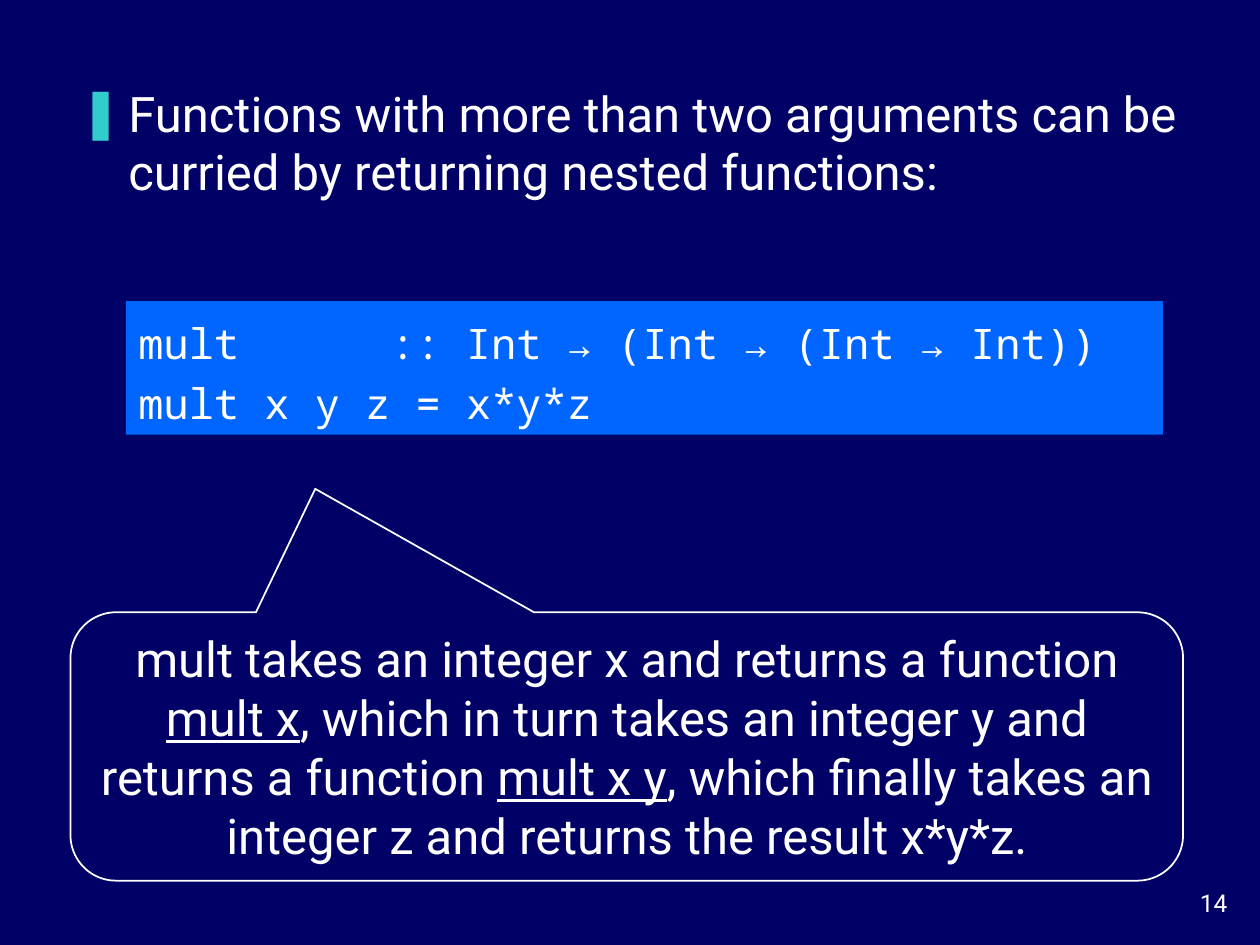
from lxml.etree import SubElement
from pptx import Presentation
from pptx.dml.color import RGBColor
from pptx.enum.shapes import MSO_SHAPE as Shape
from pptx.enum.text import MSO_ANCHOR as Anchor, MSO_AUTO_SIZE as AutoSize, PP_ALIGN as Align
from pptx.oxml.ns import qn
from pptx.util import Inches, Pt

# Content: each paragraph is a list of (text, underlined) runs
HEADING = [("Functions with more than two arguments can be curried by returning nested functions:", False)]
CODE = [
    [("mult\t:: Int → (Int → (Int → Int))", False)],
    [("mult x y z = x*y*z", False)],
]
EXPLANATION = [
    ("mult takes an integer x and returns a function ", False),
    ("mult x", True),
    (", which in turn takes an integer y and returns a function ", False),
    ("mult x y", True),
    (", which finally takes an integer z and returns the result x*y*z.", False),
]
PAGE_NUMBER = [("14", False)]

THEME = {
    "background": "000066", "text": "FFFFFF", "bullet": "33CCCC", "panel": "0066FF",
    "body_font": "Roboto", "code_font": "Noto Sans Mono",
    "body_size": 28, "code_size": 24, "number_size": 14,
}
CODE_TAB = 2.0  # ten monospaced characters
BULLET_INDENT = 0.38


def color(name):
    return RGBColor.from_string(THEME[name])


def write(box, paragraphs, size, font="body_font", align=Align.LEFT, anchor=Anchor.TOP):
    """Fill a box with styled paragraphs and return them."""
    frame = box.text_frame
    frame.word_wrap = True
    frame.auto_size = AutoSize.NONE
    frame.vertical_anchor = anchor
    for index, runs in enumerate(paragraphs):
        para = frame.add_paragraph() if index else frame.paragraphs[0]
        para.alignment = align
        for text, underlined in runs:
            span = para.add_run()
            span.text = text
            span.font.name = THEME[font]
            span.font.size = Pt(THEME[size])
            span.font.color.rgb = color("text")
            span.font.underline = underlined
    return frame.paragraphs


def add_bullet(para, symbol):
    props = para._p.get_or_add_pPr()
    props.set("marL", str(Inches(BULLET_INDENT)))
    props.set("indent", str(-Inches(BULLET_INDENT)))
    before = SubElement(props, qn("a:spcBef"))
    SubElement(before, qn("a:spcPct"), val="20000")
    bullet_color = SubElement(props, qn("a:buClr"))
    SubElement(bullet_color, qn("a:srgbClr"), val=THEME["bullet"])
    SubElement(props, qn("a:buFont"), typeface=THEME["body_font"])
    SubElement(props, qn("a:buChar"), char=symbol)


def add_tab_stop(para, position):
    stops = SubElement(para._p.get_or_add_pPr(), qn("a:tabLst"))
    SubElement(stops, qn("a:tab"), pos=str(Inches(position)), algn="l")


deck = Presentation()
deck.slide_width, deck.slide_height = Inches(10), Inches(7.5)
page = deck.slides.add_slide(deck.slide_layouts[6])
page.background.fill.solid()
page.background.fill.fore_color.rgb = color("background")

# Page number
number_box = page.shapes.add_textbox(Inches(9.17), Inches(7), Inches(0.67), Inches(0.33))
write(number_box, [PAGE_NUMBER], "number_size", align=Align.RIGHT)

# Bulleted heading
heading_box = page.shapes.add_textbox(Inches(0.54), Inches(0.61), Inches(9.01), Inches(1.1))
add_bullet(write(heading_box, [HEADING], "body_size")[0], "❚")

# Code panel
panel = page.shapes.add_shape(Shape.RECTANGLE, Inches(1), Inches(2.39), Inches(8.23), Inches(1.06))
panel.shadow.inherit = False
panel.fill.solid()
panel.fill.fore_color.rgb = color("panel")
panel.line.fill.background()
for line in write(panel, CODE, "code_size", font="code_font", anchor=Anchor.MIDDLE):
    line.line_spacing = 1.2
    add_tab_stop(line, CODE_TAB)

# Explanation callout, pointing up at the code
callout = page.shapes.add_shape(
    Shape.ROUNDED_RECTANGULAR_CALLOUT, Inches(0.56), Inches(4.86), Inches(8.83), Inches(2.13))
callout.shadow.inherit = False
callout.fill.background()
callout.line.color.rgb = color("text")
callout.line.width = Pt(1)
for index, value in enumerate((-0.28, -0.96, 0.17)):
    callout.adjustments[index] = value
write(callout, [EXPLANATION], "body_size", align=Align.CENTER, anchor=Anchor.MIDDLE)

deck.save("out.pptx")
